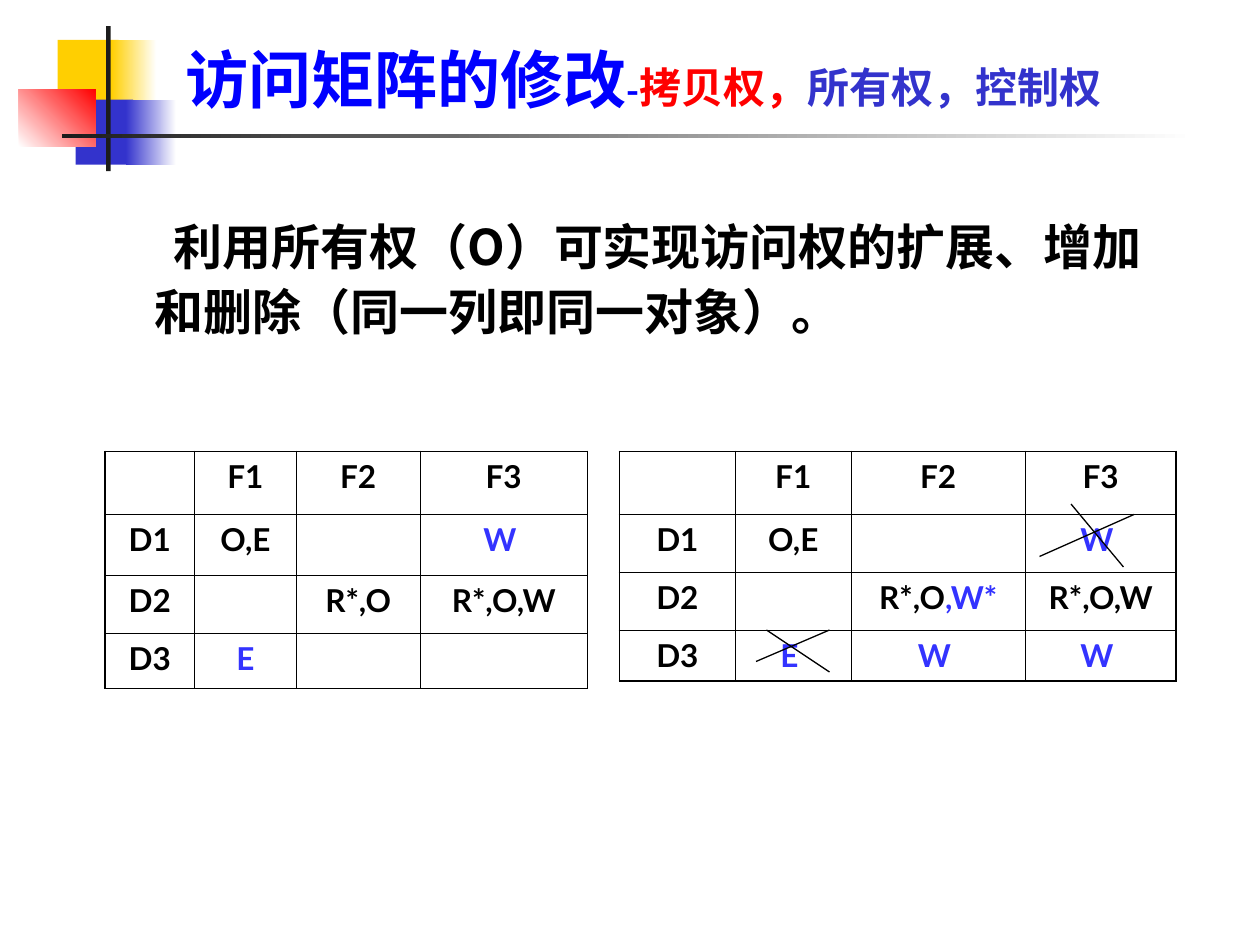
from lxml import etree
from pptx import Presentation
from pptx.dml.color import RGBColor
from pptx.enum.shapes import MSO_CONNECTOR, MSO_SHAPE
from pptx.enum.text import MSO_ANCHOR, MSO_AUTO_SIZE, PP_ALIGN
from pptx.oxml.ns import qn
from pptx.util import Inches, Pt

RECTANGLE = MSO_SHAPE.RECTANGLE
STRAIGHT = MSO_CONNECTOR.STRAIGHT
LEFT, CENTER = PP_ALIGN.LEFT, PP_ALIGN.CENTER
TOP, BOTTOM = MSO_ANCHOR.TOP, MSO_ANCHOR.BOTTOM
NO_AUTOFIT = MSO_AUTO_SIZE.NONE

CJK, LATIN = "Noto Sans CJK SC", "Lato"
BLACK, WHITE, RED = "000000", "FFFFFF", "FF0000"
YELLOW, INDIGO, CHARCOAL = "FFCF01", "3333CC", "1C1C1C"
TITLE_BLUE, CHANGED_BLUE = "0000FF", "3333FF"


def grid(units):
    """Length in grid units of a twelfth of an inch."""
    return Inches(units / 12)


def color(hex_text):
    return RGBColor.from_string(hex_text)


def add_text(paragraph, text, size=18, font=LATIN, fill=BLACK, bold=True):
    run = paragraph.add_run()
    run.text = text
    run.font.size = Pt(size)
    run.font.name = font
    run.font.bold = bold
    run.font.color.rgb = color(fill)
    if font == CJK:
        east_asian = etree.SubElement(run.font._element, qn("a:ea"))
        east_asian.set("typeface", font)


def place_placeholder(slide, index, box, anchor):
    """Put a placeholder in its box, in front of what is already drawn."""
    shape = slide.placeholders[index]
    slide.shapes._spTree.append(shape._element)
    shape.left, shape.top, shape.width, shape.height = map(grid, box)
    frame = shape.text_frame
    frame.word_wrap = True
    frame.auto_size = NO_AUTOFIT
    frame.vertical_anchor = anchor
    paragraph = frame.paragraphs[0]
    paragraph.alignment = LEFT
    paragraph.space_before = Pt(0)
    return paragraph


def add_decoration(slide, box):
    left, top, width, height = box
    # Parts as offset and size in the box, then colours and angle
    parts = [
        (3.7, 1.3, 5.8, 6.2, [YELLOW], 0),
        (8.8, 1.3, 4.3, 6.2, [YELLOW, WHITE], 0),
        (5.4, 7, 5.5, 6.2, [INDIGO], 0),
        (10.2, 7, 4.8, 6.2, [INDIGO, WHITE], 0),
        (0, 6, 7.3, 5.5, [WHITE, RED], 45),
        (8.3, 0, 0.45, height, [CHARCOAL], 0),
        (4.1, 10.3, width - 4.1, 0.36, [CHARCOAL, WHITE], 0),
    ]
    for x, y, part_width, part_height, colors, angle in parts:
        shape = slide.shapes.add_shape(
            RECTANGLE, grid(left + x), grid(top + y), grid(part_width), grid(part_height))
        shape.shadow.inherit = False
        shape.line.fill.background()
        if len(colors) == 1:
            shape.fill.solid()
            shape.fill.fore_color.rgb = color(colors[0])
        else:
            shape.fill.gradient()
            shape.fill.gradient_angle = angle
            for stop, position, name in zip(shape.fill.gradient_stops, (0, 1), colors):
                stop.position = position
                stop.color.rgb = color(name)


def add_title(slide, box):
    paragraph = place_placeholder(slide, 0, box, BOTTOM)
    for text, size, fill in [("访问矩阵的修改", 36, TITLE_BLUE), ("-", 20, TITLE_BLUE),
                             ("拷贝权，", 24, RED), ("所有权，控制权", 24, INDIGO)]:
        add_text(paragraph, text, size=size, font=CJK, fill=fill)


def add_body(slide, box):
    paragraph = place_placeholder(slide, 1, box, TOP)
    paragraph.line_spacing = 1.1
    properties = paragraph._p.get_or_add_pPr()
    properties.set("marL", str(Inches(0.38)))
    properties.set("indent", str(Inches(0.15)))
    etree.SubElement(properties, qn("a:buNone"))
    add_text(paragraph, "利用所有权（O）可实现访问权的扩展、增加和删除（同一列即同一对象）。",
             size=28, font=CJK)


def set_borders(cell, outer_sides):
    properties = cell._tc.get_or_add_tcPr()
    for side in "LRTB":
        width = Pt(1.08 if side in outer_sides else 0.45)
        line = etree.SubElement(properties, qn("a:ln" + side), w=str(width))
        fill = etree.SubElement(line, qn("a:solidFill"))
        etree.SubElement(fill, qn("a:srgbClr"), val=BLACK)


def add_matrix(slide, left, top, columns, rows, entries):
    """Entries are cell texts; what follows a | is a changed right."""
    table = slide.shapes.add_table(
        len(rows), len(columns), grid(left), grid(top),
        Inches(sum(columns)), Inches(sum(rows))).table
    table.first_row = table.horz_banding = False
    for column, width in zip(table.columns, columns):
        column.width = Inches(width)
    for row, height in zip(table.rows, rows):
        row.height = Inches(height)
    last_row, last_column = len(rows) - 1, len(columns) - 1
    for i, row_entries in enumerate(entries):
        for j, entry in enumerate(row_entries):
            cell = table.cell(i, j)
            edges = {"L": j == 0, "R": j == last_column, "T": i == 0, "B": i == last_row}
            set_borders(cell, [side for side, is_outer in edges.items() if is_outer])
            cell.fill.background()
            paragraph = cell.text_frame.paragraphs[0]
            paragraph.alignment = CENTER
            kept, _, changed = entry.partition("|")
            for text, fill in ((kept, BLACK), (changed, CHANGED_BLUE)):
                if text:
                    add_text(paragraph, text, fill=fill)


def add_strike(slide, *strokes):
    """Cross out a right with strokes given by their end points."""
    for ends in strokes:
        line = slide.shapes.add_connector(STRAIGHT, *map(grid, ends))
        line.line.color.rgb = color(BLACK)
        line.line.width = Pt(0.75)
        etree.SubElement(line._element.spPr, qn("a:effectLst"))


def main():
    presentation = Presentation()
    presentation.slide_width, presentation.slide_height = Inches(10), Inches(7.5)
    slide = presentation.slides.add_slide(presentation.slide_layouts[1])

    add_decoration(slide, (1.8, 2.5, 112, 13.8))
    add_body(slide, (9, 19.5, 105, 14))

    # Access matrix before and after the change
    header = ["", "F1", "F2", "F3"]
    first_row = ["D1", "O,E", "", "|W "]
    add_matrix(slide, 10, 43, [0.71, 0.81, 0.98, 1.33], [0.5, 0.48, 0.46, 0.44], [
        header, first_row,
        ["D2", "", "R*,O", "R*,O,W"],
        ["D3", "|E", "", ""]])
    add_matrix(slide, 59, 43, [0.92, 0.92, 1.38, 1.2], [0.5, 0.46, 0.46, 0.4], [
        header, first_row,
        ["D2", "", "R*,O|,W*", "R*,O,W"],
        ["D3", "|E ", "|W ", "|W "]])

    # Rights that are taken away
    add_strike(slide, (102, 48, 107, 54), (108, 49, 99, 53))
    add_strike(slide, (73, 60, 79, 64), (79, 60, 72, 63))

    add_title(slide, (16.5, 1.5, 105.4, 10.2))
    presentation.save("out.pptx")


if __name__ == "__main__":
    main()
